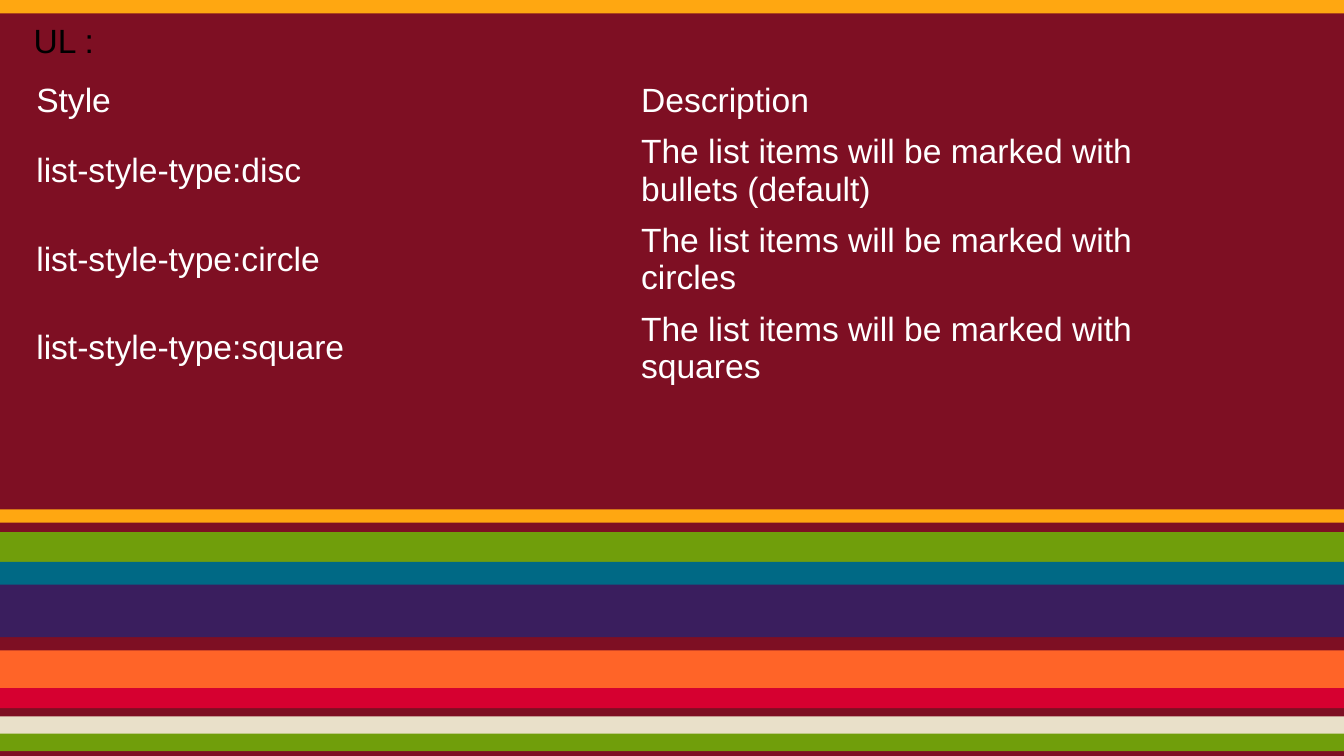
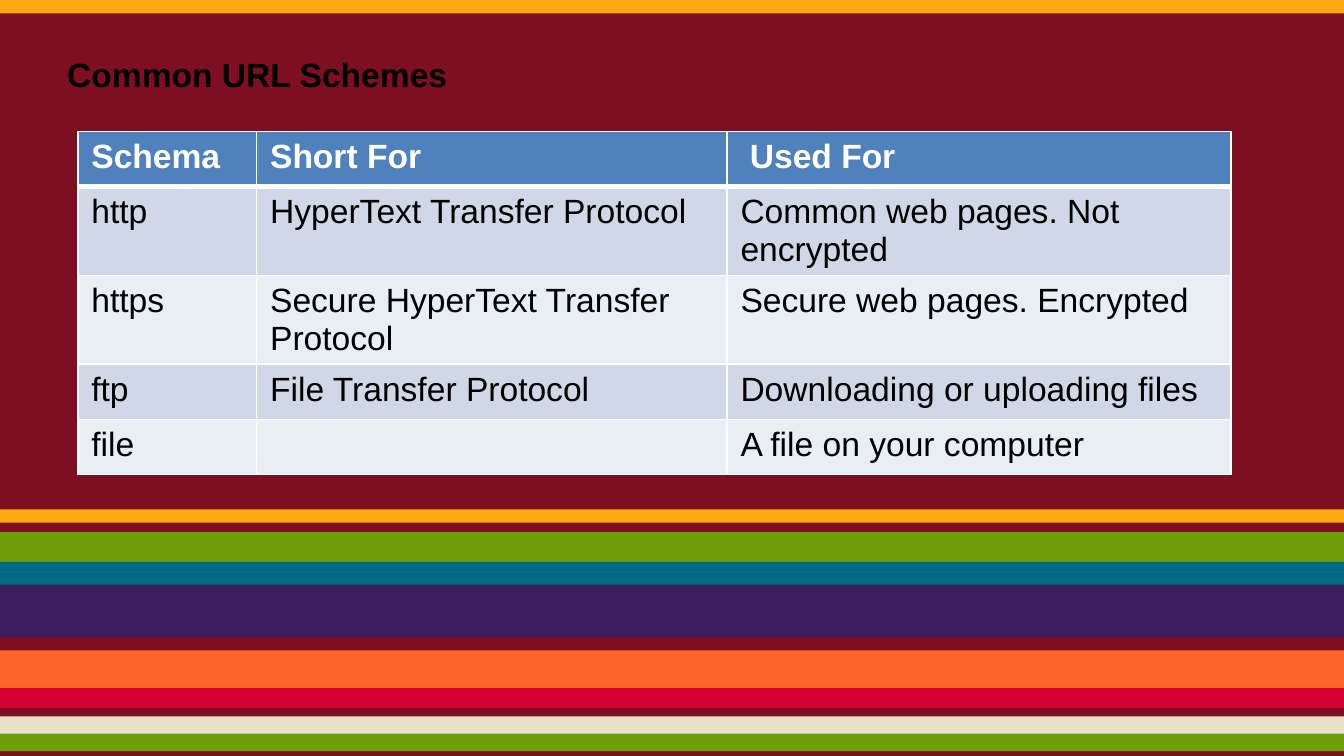
"""Build two striped slides with tables on list styles and URL schemes."""
from lxml.etree import SubElement as Sub
from pptx import Presentation
from pptx.dml.color import RGBColor as RGB
from pptx.enum.shapes import MSO_SHAPE as Kind
from pptx.enum.text import MSO_ANCHOR as Anchor, PP_ALIGN as Align
from pptx.oxml.ns import qn
from pptx.util import Inches as In, Pt

WIDE = 10
HIGH = WIDE * 9 / 16
FONT, SIZE = "Arial", 18
PLAIN = "{2D5ABB26-0587-4C30-8999-92F81FD0307C}"
ONE, TWO = 0.41, 0.66

HUE = {
    "back": "7E0F23", "gold": "FFA711", "cream": "E9E0C9", "green": "709E0B",
    "teal": "006985", "plum": "3A1E5E", "orange": "FF6428", "red": "D60030",
    "black": "000000", "white": "FFFFFF",
    "head": "4F81BD", "odd": "D0D8E8", "even": "E9EDF4",
}

BANDS = [
    ("gold", 0, 0.1), ("cream", 5.33, 0.15), ("green", 3.96, 0.25),
    ("teal", 4.18, 0.25), ("plum", 4.35, 0.39), ("orange", 4.84, 0.28),
    ("red", 5.12, 0.15), ("green", 5.46, 0.13), ("gold", 3.79, 0.1),
]

STYLES = [
    ("Style", "Description"),
    ("list-style-type:disc", "The list items will be marked with bullets (default)"),
    ("list-style-type:circle", "The list items will be marked with circles"),
    ("list-style-type:square", "The list items will be marked with squares"),
]

SCHEMES = [
    ("Schema", "Short For", " Used For"),
    ("http", "HyperText Transfer Protocol", "Common web pages. Not encrypted"),
    ("https", "Secure HyperText Transfer Protocol", "Secure web pages. Encrypted"),
    ("ftp", "File Transfer Protocol", "Downloading or uploading files"),
    ("file", "", "A file on your computer"),
]


def tint(name):
    return RGB.from_string(HUE[name])


def style(frame, hue, bold=False):
    for para in frame.paragraphs:
        para.alignment = Align.LEFT
        para.space_before = Pt(0)
        for run in para.runs:
            font = run.font
            font.name, font.size, font.bold = FONT, Pt(SIZE), bold
            font.color.rgb = tint(hue)


def place(holder, text, box, bold=False, foot=0):
    holder.left, holder.top, holder.width, holder.height = map(In, box)
    frame = holder.text_frame
    frame.text = text
    frame.word_wrap = True
    frame.margin_left = frame.margin_right = frame.margin_top = 0
    frame.margin_bottom = In(foot)
    style(frame, "black", bold)
    return frame


def stripe(deck, slide):
    master = deck.slide_master
    master.background.fill.solid()
    master.background.fill.fore_color.rgb = tint("back")
    tree = master.element.cSld.spTree
    for num, (hue, top, tall) in enumerate(BANDS):
        band = slide.shapes.add_shape(Kind.RECTANGLE, 0, In(top), In(WIDE), In(tall))
        band.shadow.inherit = False
        band.fill.solid()
        band.fill.fore_color.rgb = tint(hue)
        band.line.fill.background()
        band.element.nvSpPr.cNvPr.set("id", str(100 + num))
        tree.insert(2 + num, band.element)


def grid(slide, rows, left, top, cols, highs):
    frame = slide.shapes.add_table(
        len(rows), len(cols), In(left), In(top), In(sum(cols)), In(sum(highs)))
    table = frame.table
    table.first_row = table.horz_banding = False
    for node in frame.element.iter(qn("a:tableStyleId")):
        node.text = PLAIN
    for col, wide in zip(table.columns, cols):
        col.width = In(wide)
    for row, high, words in zip(table.rows, highs, rows):
        row.height = In(high)
        for cell, word in zip(row.cells, words):
            cell.text = word
    return frame


def edge(props, row):
    for spot, side in enumerate("LRTB"):
        thick = 3 if (row, side) in ((0, "B"), (1, "T")) else 1
        line = Sub(props, qn(f"a:ln{side}"), w=str(Pt(thick)))
        fill = Sub(line, qn("a:solidFill"))
        Sub(fill, qn("a:srgbClr"), val=HUE["white"])
        props.insert(spot, line)


def lists(deck):
    slide = deck.slides.add_slide(deck.slide_layouts[1])
    stripe(deck, slide)
    title = slide.shapes.title.element
    title.getparent().remove(title)
    body = slide.placeholders[1]
    place(body, "UL :", (0.25, 0.15, 9, 3.57))
    for props in body.element.iter(qn("a:pPr")):
        props.set("marL", "0")
        props.set("indent", "0")
        Sub(props, qn("a:buNone"))
    table = grid(slide, STYLES, 0.17, 0.56, [4.5] * 2, [0.38] + [TWO] * 3).table
    for cell in table.iter_cells():
        cell.fill.background()
        cell.vertical_anchor = Anchor.MIDDLE
        style(cell.text_frame, "white")


def schemes(deck):
    slide = deck.slides.add_slide(deck.slide_layouts[5])
    frame = place(slide.shapes.title, "Common URL Schemes",
                  (0.5, 0.23, 9, 0.94), True, 0.3)
    frame.vertical_anchor = Anchor.MIDDLE
    frame = grid(slide, SCHEMES, 0.58, 0.98, [1.33, 3.5, 3.75],
                 [ONE, TWO, TWO, ONE, ONE])
    for num, row in enumerate(frame.table.rows):
        for cell in row.cells:
            cell.fill.solid()
            shade = "odd" if num % 2 else "even"
            cell.fill.fore_color.rgb = tint(shade if num else "head")
            style(cell.text_frame, "black" if num else "white", not num)
    for spot, props in enumerate(frame.element.iter(qn("a:tcPr"))):
        edge(props, spot // len(SCHEMES[0]))


def main():
    deck = Presentation()
    deck.slide_width, deck.slide_height = In(WIDE), In(HIGH)
    lists(deck)
    schemes(deck)
    deck.save("out.pptx")


if __name__ == "__main__":
    main()
